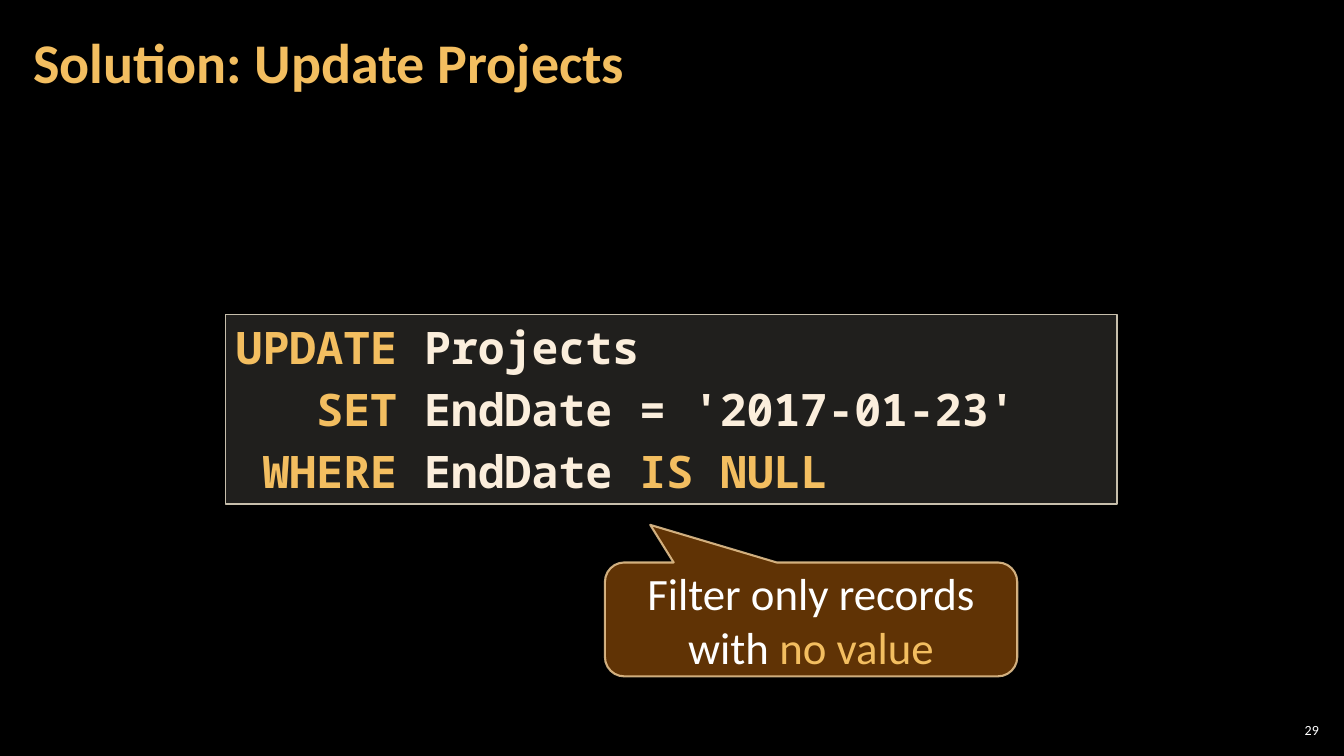
from dataclasses import dataclass

from lxml import etree
from pptx import Presentation
from pptx.dml.color import RGBColor
from pptx.enum.shapes import MSO_SHAPE
from pptx.enum.text import MSO_ANCHOR, PP_ALIGN
from pptx.oxml.ns import qn
from pptx.util import Inches, Pt

RECT, CALLOUT = MSO_SHAPE.RECTANGLE, MSO_SHAPE.ROUNDED_RECTANGULAR_CALLOUT
TOP, MIDDLE = MSO_ANCHOR.TOP, MSO_ANCHOR.MIDDLE
LEFT, CENTER, RIGHT = PP_ALIGN.LEFT, PP_ALIGN.CENTER, PP_ALIGN.RIGHT

BLACK = RGBColor(0x00, 0x00, 0x00)
WHITE = RGBColor(0xFF, 0xFF, 0xFF)
GOLD = RGBColor(0xF3, 0xBE, 0x60)
CREAM = RGBColor(0xFB, 0xEE, 0xDC)
SAND = RGBColor(0xD9, 0xD5, 0xC7)
STONE = RGBColor(0xC7, 0xBF, 0xAC)
BROWN = RGBColor(0x66, 0x36, 0x06)
PEACH = RGBColor(0xF8, 0xD4, 0x9E)

WIDTH, HEIGHT = Inches(13.33), Inches(7.5)
SANS, MONO = "Calibri", "Noto Sans Mono"
CHAR = 0.6  # width of a mono letter, in ems


@dataclass
class Area:
    """A place on the slide, in percent of its width and height."""
    left: float
    top: float
    width: float
    height: float

    def box(self) -> tuple[int, int, int, int]:
        return (int(WIDTH * self.left / 100), int(HEIGHT * self.top / 100),
                int(WIDTH * self.width / 100), int(HEIGHT * self.height / 100))


@dataclass
class Line:
    """A paragraph of (text, colour) pairs, indented by some mono letters."""
    words: list[tuple[str, RGBColor]]
    indent: int = 0


@dataclass
class Style:
    size: int
    font: str = SANS
    bold: bool = False
    align: PP_ALIGN = LEFT
    anchor: MSO_ANCHOR = MIDDLE
    before: int = 0
    spacing: float = 1.0
    side: float = 0.1
    edge: float = 0.05


@dataclass
class Paint:
    fill: RGBColor
    alpha: int
    line: RGBColor
    width: float
    shade: int = 100


def fade(color_fill, percent: int) -> None:
    """Set the opacity of a solid fill element."""
    node = etree.SubElement(color_fill.find(qn("a:srgbClr")), qn("a:alpha"))
    node.set("val", str(percent * 1000))


def write(shape, lines: list[Line], style: Style) -> None:
    frame = shape.text_frame
    frame.word_wrap = True
    frame.vertical_anchor = style.anchor
    frame.margin_left = frame.margin_right = Inches(style.side)
    frame.margin_top = frame.margin_bottom = Inches(style.edge)
    for index, line in enumerate(lines):
        para = frame.add_paragraph() if index else frame.paragraphs[0]
        para.alignment = style.align
        para.space_before = Pt(style.before)
        para.line_spacing = style.spacing
        shift = Pt(line.indent * CHAR * style.size)
        para._p.get_or_add_pPr().set("marL", str(int(shift)))
        for text, color in line.words:
            run = para.add_run()
            run.text = text
            run.font.name = style.font
            run.font.size = Pt(style.size)
            run.font.bold = style.bold
            run.font.color.rgb = color


def label(slide, area: Area, lines: list[Line], style: Style) -> None:
    write(slide.shapes.add_textbox(*area.box()), lines, style)


def panel(slide, kind: MSO_SHAPE, area: Area, paint: Paint,
          lines: list[Line], style: Style, bends: tuple[float, ...] = ()) -> None:
    shape = slide.shapes.add_shape(kind, *area.box())
    shape.shadow.inherit = False
    for index, bend in enumerate(bends):
        shape.adjustments[index] = bend
    shape.fill.solid()
    shape.fill.fore_color.rgb = paint.fill
    shape.line.color.rgb = paint.line
    shape.line.width = Pt(paint.width)
    props = shape._element.spPr
    fade(props.find(qn("a:solidFill")), paint.alpha)
    fade(props.find(qn("a:ln")).find(qn("a:solidFill")), paint.shade)
    write(shape, lines, style)


def main() -> None:
    deck = Presentation()
    deck.slide_width, deck.slide_height = WIDTH, HEIGHT
    slide = deck.slides.add_slide(deck.slide_layouts[6])
    slide.background.fill.solid()
    slide.background.fill.fore_color.rgb = BLACK

    # Page number and title
    label(slide, Area(94.9, 95.2, 3.53, 2.8), [Line([("29", WHITE)])],
          Style(10, align=RIGHT, side=0.04, edge=0.04))
    label(slide, Area(1.58, 0.53, 78.54, 16.13),
          [Line([("Solution: Update Projects", GOLD)])],
          Style(40, bold=True, spacing=0.9, side=0.12, edge=0.04))

    # SQL statement, with its keywords flush right
    query = [
        Line([("UPDATE", GOLD), (" Projects", CREAM)]),
        Line([("SET", GOLD), (" EndDate = '2017-01-23'", CREAM)], indent=3),
        Line([("WHERE", GOLD), (" EndDate ", CREAM), ("IS NULL", GOLD)], indent=1),
    ]
    panel(slide, RECT, Area(16.8, 41.6, 66.32, 25.07),
          Paint(SAND, 15, STONE, 1), query,
          Style(32, MONO, bold=True, anchor=TOP, before=6))

    # Callout on the filter
    hint = [Line([("Filter only records", WHITE)]),
            Line([("with ", WHITE), ("no value", GOLD)])]
    panel(slide, CALLOUT, Area(45.01, 74.4, 30.68, 15.07),
          Paint(BROWN, 95, PEACH, 1.5, shade=80), hint,
          Style(32, align=CENTER), bends=(-0.39, -0.83, 0.17))

    deck.save("out.pptx")


if __name__ == "__main__":
    main()
